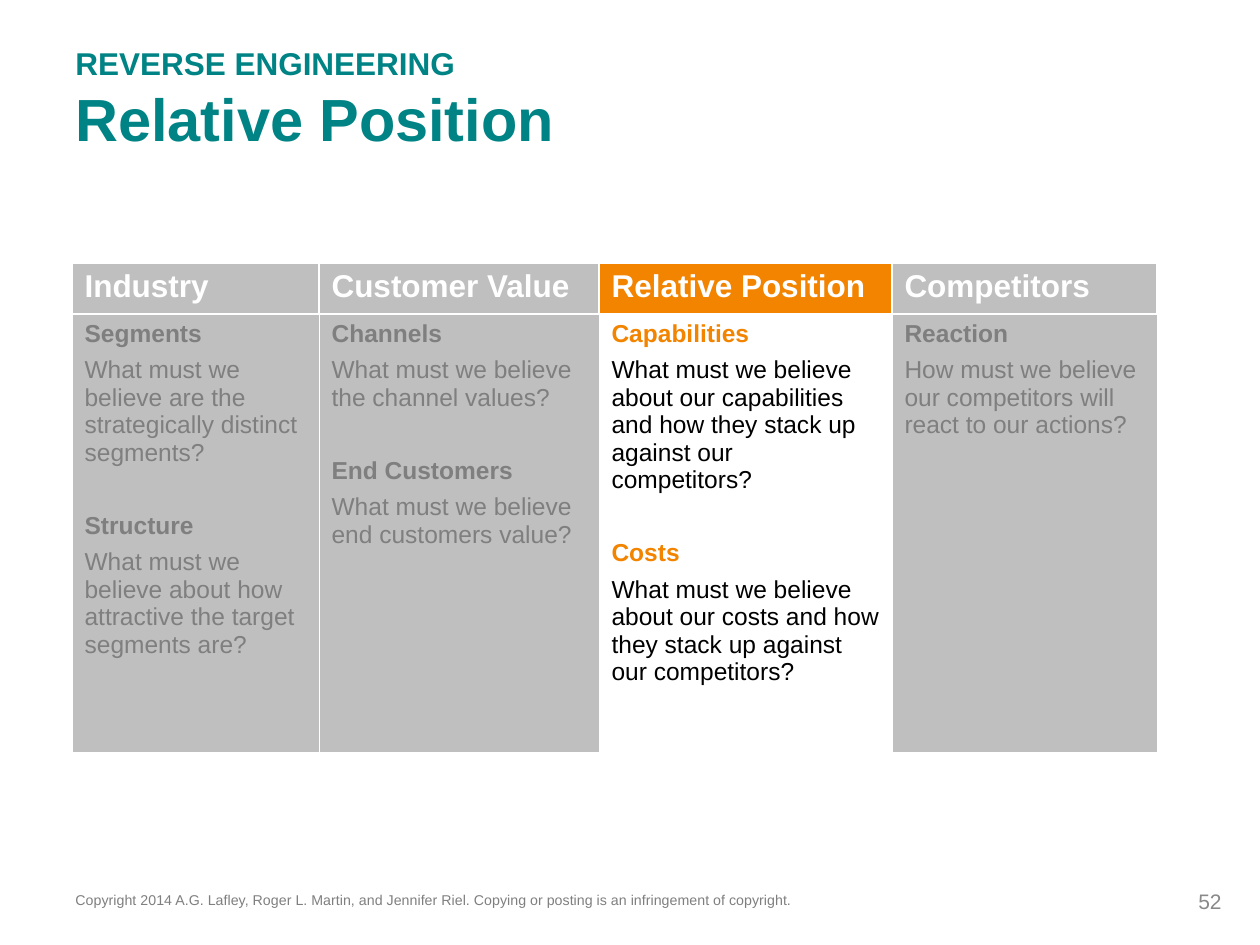
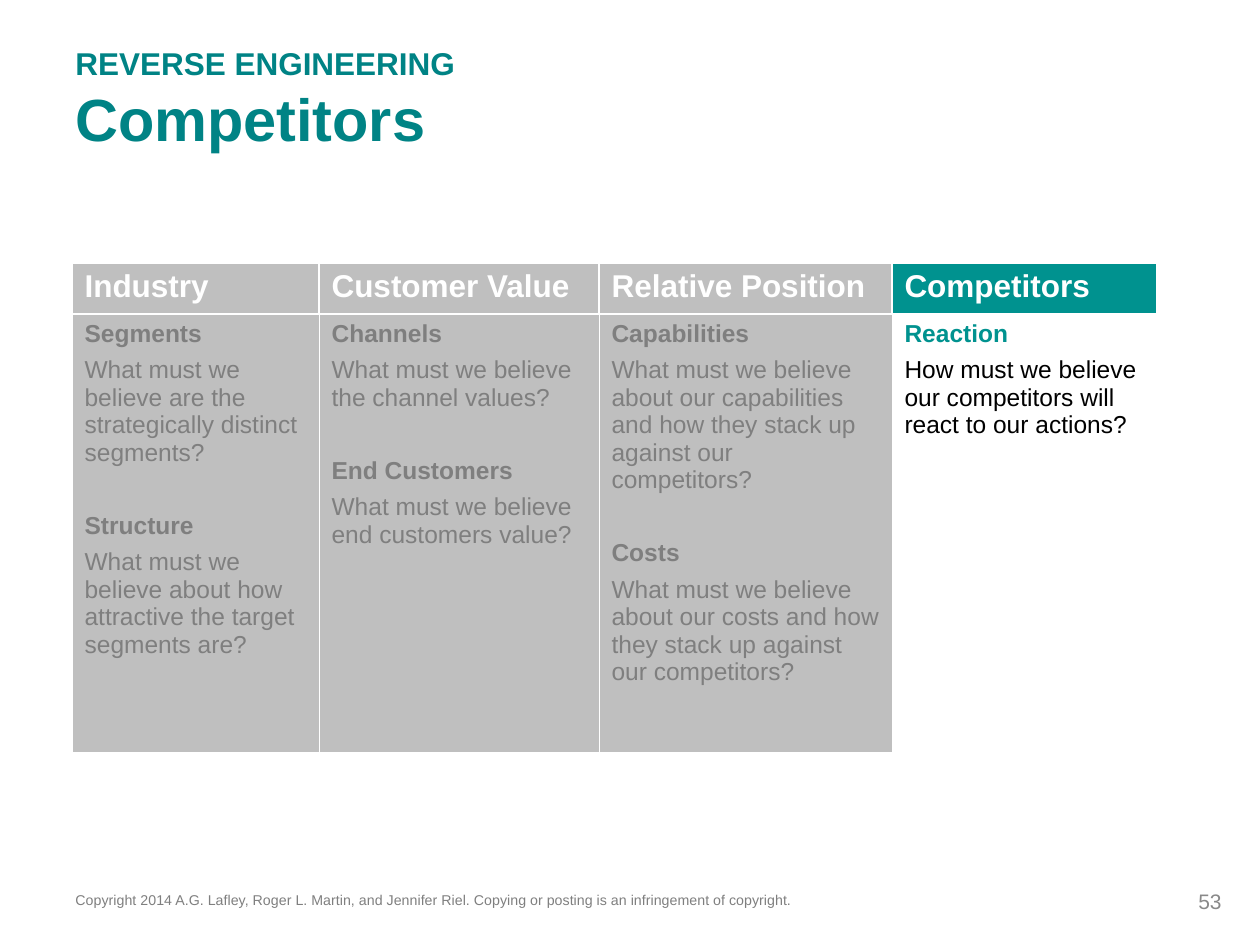
from dataclasses import dataclass

from lxml.etree import SubElement
from pptx import Presentation
from pptx.dml.color import RGBColor
from pptx.enum.text import MSO_ANCHOR, PP_ALIGN
from pptx.oxml.ns import qn
from pptx.util import Emu, Pt


@dataclass(frozen=True)
class Theme:
    font: str = "Arial"
    title: str = "008385"
    orange: str = "F28400"
    teal: str = "00928F"
    band: str = "BFBFBF"
    muted: str = "7F7F7F"
    number: str = "898989"
    white: str = "FFFFFF"
    black: str = "000000"
    title_size: int = 34
    heading_size: int = 18
    body_size: int = 14
    number_size: int = 12
    thick_line: float = 1.47
    thin_line: float = 0.45
    text_gap: int = 5
    topic_gap: int = 26


THEME = Theme()
PX_PER_INCH = 126
SECTION = "REVERSE ENGINEERING"
COPYRIGHT = (
    "Copyright 2014 A.G. Lafley, Roger L. Martin, and Jennifer Riel. "
    "Copying or posting is an infringement of copyright."
)
COLUMNS = [
    ("Industry", 247, [
        ("Segments", "What must we believe are the strategically distinct segments?"),
        ("Structure", "What must we believe about how attractive the target segments are?"),
    ]),
    ("Customer Value", 280, [
        ("Channels", "What must we believe the channel values?"),
        ("End Customers", "What must we believe end customers value?"),
    ]),
    ("Relative Position", 293, [
        ("Capabilities", "What must we believe about our capabilities and how they "
                         "stack up against our competitors?"),
        ("Costs", "What must we believe about our costs and how they stack up "
                  "against our competitors?"),
    ]),
    ("Competitors", 265, [
        ("Reaction", "How must we believe our competitors will react to our actions?"),
    ]),
]
HEADER_HEIGHT, BODY_HEIGHT = 51, 438
PAGES = [
    (52, "Relative Position", THEME.orange),
    (53, "Competitors", THEME.teal),
]


def px(length):
    return Emu(round(length * 914400 / PX_PER_INCH))


def write(frame, text, size, color, bold=False, gap=0):
    paragraph = frame.paragraphs[0]
    if paragraph.text:
        paragraph = frame.add_paragraph()
    paragraph.text = text
    if gap:
        paragraph.space_before = Pt(gap)
    font = paragraph.font
    font.name = THEME.font
    font.size = Pt(size)
    font.bold = bold
    font.color.rgb = RGBColor.from_string(color)
    return paragraph


def add_box(page, left, top, width, height):
    frame = page.shapes.add_textbox(px(left), px(top), px(width), px(height)).text_frame
    frame.word_wrap = True
    return frame


def add_title(page, title):
    frame = add_box(page, 63, 38, 1140, 158)
    write(frame, SECTION, THEME.heading_size, THEME.title, bold=True)
    write(frame, title, THEME.title_size, THEME.title, bold=True)


def add_footer(page, number):
    frame = add_box(page, 63, 882, 929, 43)
    paragraph = write(frame, COPYRIGHT, THEME.body_size, THEME.muted)
    span = paragraph.runs[0]
    span._r.get_or_add_rPr().set("baseline", "30000")
    frame = add_box(page, 940, 876, 294, 50)
    frame.vertical_anchor = MSO_ANCHOR.MIDDLE
    paragraph = write(frame, str(number), THEME.number_size, THEME.number)
    paragraph.alignment = PP_ALIGN.RIGHT


def style_cell(cell, fill, side_width, top_width, bottom_width):
    properties = cell._tc.get_or_add_tcPr()
    widths = {"L": side_width, "R": side_width, "T": top_width, "B": bottom_width}
    for side, width in widths.items():
        line = SubElement(properties, qn(f"a:ln{side}"), w=str(Pt(width)))
        line_fill = SubElement(line, qn("a:solidFill"))
        SubElement(line_fill, qn("a:srgbClr"), val=THEME.white)
    if fill:
        cell.fill.solid()
        cell.fill.fore_color.rgb = RGBColor.from_string(fill)
    else:
        cell.fill.background()


def fill_column(header, body, name, topics, accent):
    thick, thin = THEME.thick_line, THEME.thin_line
    style_cell(header, accent or THEME.band, thick, thick, thick)
    write(header.text_frame, name, THEME.heading_size, THEME.white, bold=True)
    style_cell(body, None if accent else THEME.band, thin, thick, thin)
    text_color = THEME.black if accent else THEME.muted
    for index, (topic, question) in enumerate(topics):
        write(body.text_frame, topic, THEME.body_size, accent or THEME.muted,
              bold=True, gap=THEME.topic_gap if index else 0)
        write(body.text_frame, question, THEME.body_size, text_color, gap=THEME.text_gap)


def add_question_table(page, active, accent):
    total_width = sum(width for _, width, _ in COLUMNS)
    table = page.shapes.add_table(
        2, len(COLUMNS), px(72), px(263), px(total_width), px(HEADER_HEIGHT + BODY_HEIGHT)
    ).table
    table.first_row = False
    table.horz_banding = False
    table.rows[0].height = px(HEADER_HEIGHT)
    table.rows[1].height = px(BODY_HEIGHT)
    for index, (name, width, topics) in enumerate(COLUMNS):
        table.columns[index].width = px(width)
        fill_column(table.cell(0, index), table.cell(1, index), name, topics,
                    accent if name == active else None)


def main():
    deck = Presentation()
    deck.slide_width, deck.slide_height = px(1260), px(945)
    for number, title, accent in PAGES:
        page = deck.slides.add_slide(deck.slide_layouts[6])
        add_footer(page, number)
        add_title(page, title)
        add_question_table(page, title, accent)
    deck.save("out.pptx")


if __name__ == "__main__":
    main()
